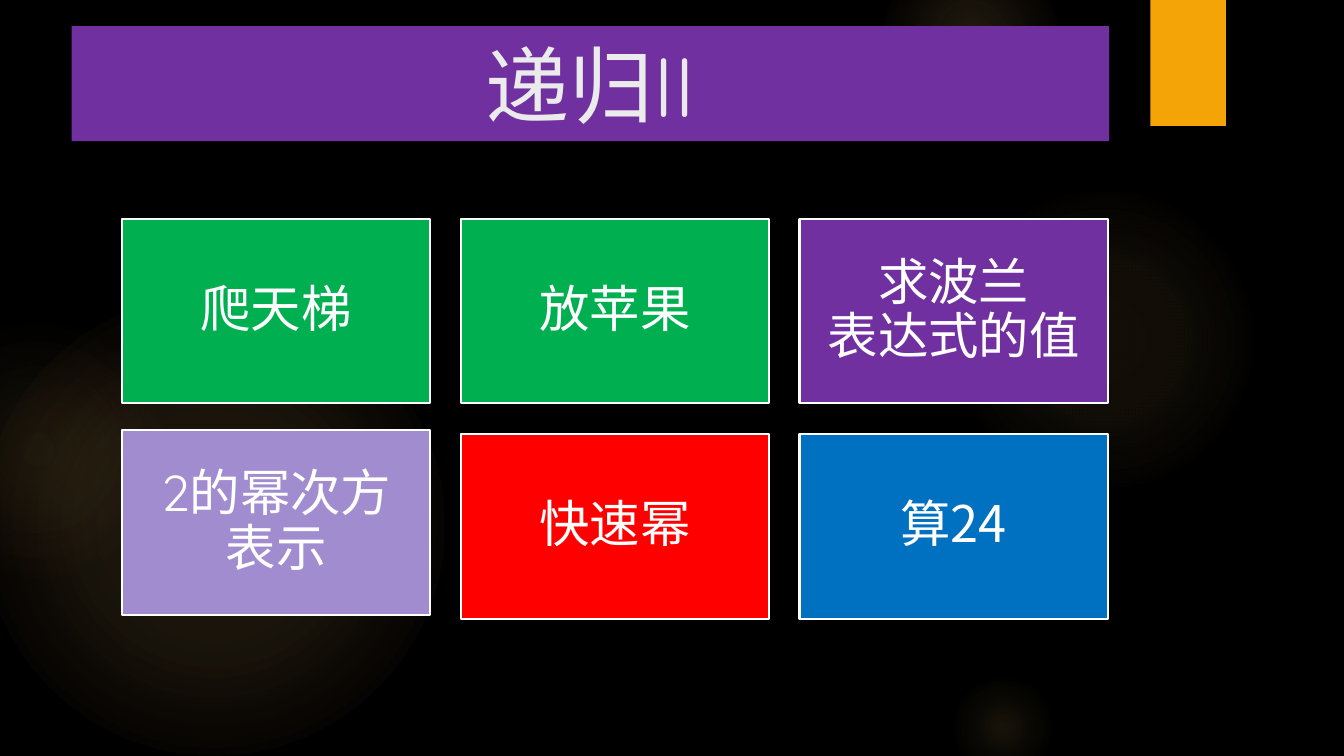
from lxml.etree import SubElement
from pptx import Presentation
from pptx.dml.color import RGBColor
from pptx.enum.shapes import MSO_SHAPE
from pptx.enum.text import MSO_ANCHOR, MSO_AUTO_SIZE, PP_ALIGN
from pptx.oxml import parse_xml
from pptx.oxml.ns import nsdecls, qn
from pptx.util import Inches, Pt

BLACK = RGBColor(0x00, 0x00, 0x00)
WHITE = RGBColor(0xFF, 0xFF, 0xFF)
PALE = RGBColor(0xEB, 0xEB, 0xEB)
ORANGE = RGBColor(0xF5, 0xA4, 0x08)
PURPLE = RGBColor(0x70, 0x30, 0xA0)
LILAC = RGBColor(0xA1, 0x8C, 0xD0)
GREEN = RGBColor(0x00, 0xB0, 0x50)
RED = RGBColor(0xFF, 0x00, 0x00)
BLUE = RGBColor(0x00, 0x70, 0xC0)
GOLD = RGBColor(0xFA, 0xC9, 0x6A)
PEACH = RGBColor(0xF5, 0x9B, 0x74)

HAN_FONT = "Noto Sans CJK SC"
LATIN_FONT = "Quicksand"


def style_text(frame, size, color, latin):
    """Centre the frame's text and set its Latin and East Asian fonts."""
    frame.word_wrap = True
    frame.auto_size = MSO_AUTO_SIZE.NONE
    frame.vertical_anchor = MSO_ANCHOR.MIDDLE
    paragraph = frame.paragraphs[0]
    paragraph.alignment = PP_ALIGN.CENTER
    font = paragraph.font
    font.size = Pt(size)
    font.color.rgb = color
    font.name = latin
    defaults = paragraph._p.pPr.find(qn("a:defRPr"))
    SubElement(defaults, qn("a:ea")).set("typeface", HAN_FONT)


def add_block(kind, left, top, width, height):
    block = slide.shapes.add_shape(
        kind, Inches(left), Inches(top), Inches(width), Inches(height))
    block.shadow.inherit = False
    block.line.fill.background()
    return block


deck = Presentation()
deck.slide_width, deck.slide_height = Inches(13.33), Inches(7.5)
slide = deck.slides.add_slide(deck.slide_layouts[5])
slide.background.fill.solid()
slide.background.fill.fore_color.rgb = BLACK

# Background glows: left, top, diameter, (position %, colour, opacity %) stops
glows = [
    (-0.17, 2.92, 4.58, [(0, GOLD, 11), (36, GOLD, 10), (75, GOLD, 0)]),
    (-0.92, 3.17, 2.58, [(0, GOLD, 8), (36, GOLD, 5), (71, PEACH, 0)]),
    (9.41, 1.83, 3.08, [(0, GOLD, 7), (36, GOLD, 6), (69, GOLD, 0)]),
    (8.75, -0.5, 1.75, [(0, GOLD, 14), (36, GOLD, 7), (73, GOLD, 0)]),
    (9.41, 6.67, 1.08, [(0, GOLD, 10), (31, GOLD, 5), (66, GOLD, 0)]),
]
for left, top, diameter, stops in glows:
    glow = add_block(MSO_SHAPE.OVAL, left, top, diameter, diameter)
    stop_xml = "".join(
        f'<a:gs pos="{position * 1000}"><a:srgbClr val="{color}">'
        f'<a:alpha val="{opacity * 1000}"/></a:srgbClr></a:gs>'
        for position, color, opacity in stops)
    gradient = parse_xml(
        f'<a:gradFill {nsdecls("a")}><a:gsLst>{stop_xml}</a:gsLst>'
        '<a:path path="circle"><a:fillToRect l="50000" t="50000" '
        'r="50000" b="50000"/></a:path></a:gradFill>')
    glow._element.spPr.find(qn("a:prstGeom")).addnext(gradient)

bookmark = add_block(MSO_SHAPE.RECTANGLE, 11.41, 0, 0.75, 1.25)
bookmark.fill.solid()
bookmark.fill.fore_color.rgb = ORANGE

title = slide.shapes.title
slide.shapes._spTree.append(title._element)  # in front of the glows
title.left, title.top = Inches(0.71), Inches(0.26)
title.width, title.height = Inches(10.29), Inches(1.14)
title.fill.solid()
title.fill.fore_color.rgb = PURPLE
title.text_frame.text = "递归II"
style_text(title.text_frame, 60, PALE, LATIN_FONT)

# Topic tiles: a grid of three columns and two rows
COLUMNS = 3
GRID_LEFT, GRID_TOP = 1.21, 2.17
TILE_WIDTH, TILE_HEIGHT = 3.06, 1.83
COLUMN_STEP, ROW_STEP = 3.36, 2.14
topics = [
    ("爬天梯", GREEN, HAN_FONT, 0),
    ("放苹果", GREEN, HAN_FONT, 0),
    ("求波兰\v表达式的值", PURPLE, HAN_FONT, 0),
    ("2的幂次方表示", LILAC, LATIN_FONT, -0.04),
    ("快速幂", RED, HAN_FONT, 0),
    ("算24", BLUE, HAN_FONT, 0),
]
for index, (topic, color, latin, shift) in enumerate(topics):
    row, column = divmod(index, COLUMNS)
    tile = add_block(
        MSO_SHAPE.RECTANGLE, GRID_LEFT + column * COLUMN_STEP,
        GRID_TOP + row * ROW_STEP + shift, TILE_WIDTH, TILE_HEIGHT)
    tile.fill.solid()
    tile.fill.fore_color.rgb = color
    tile.line.color.rgb = WHITE
    tile.line.width = Pt(1.5)
    frame = tile.text_frame
    frame.margin_left = frame.margin_right = Inches(0.15)
    frame.margin_top = frame.margin_bottom = Inches(0.15)
    frame.text = topic
    frame.paragraphs[0].line_spacing = 0.9
    style_text(frame, 36, WHITE, latin)

deck.save("out.pptx")
